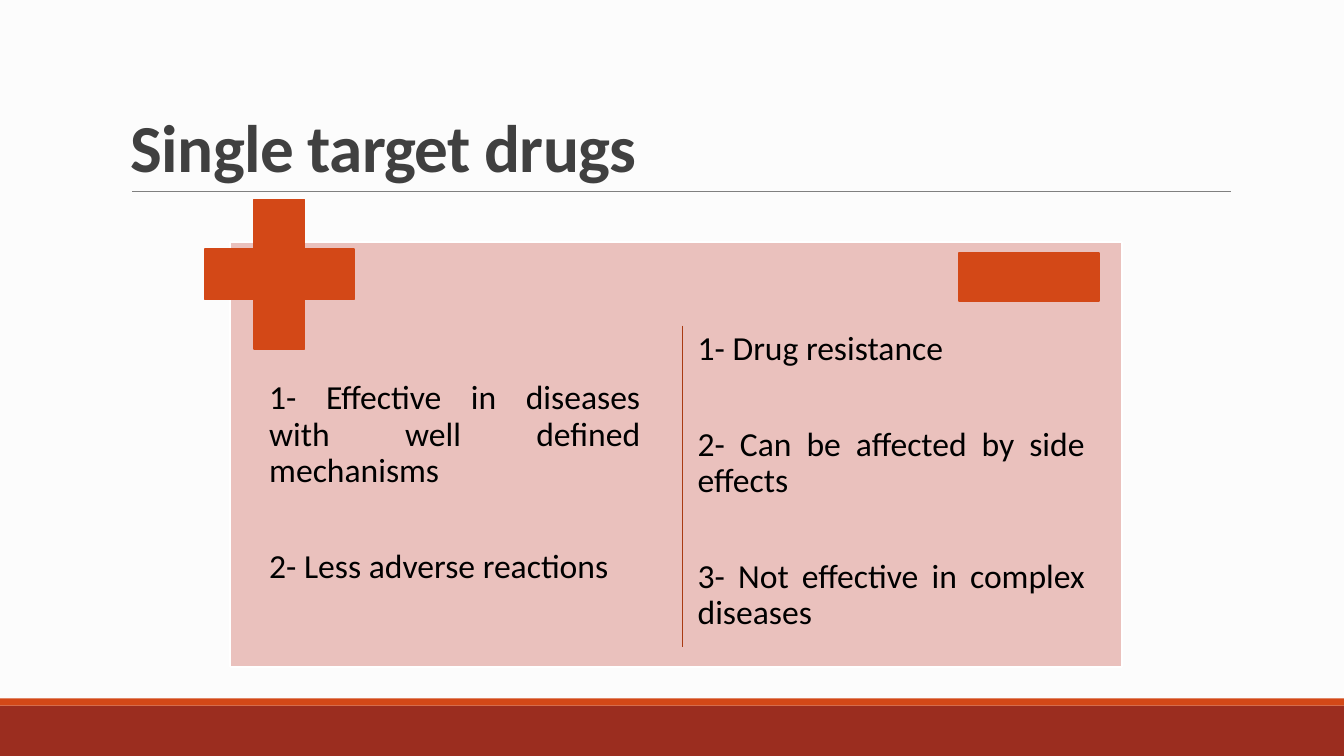
import pptx
import pptx.util
import pptx.dml.color
import pptx.enum.shapes
import pptx.enum.text
import pptx.oxml.ns
from lxml import etree

Inches, Pt = pptx.util.Inches, pptx.util.Pt
RGB = pptx.dml.color.RGBColor.from_string
SHAPE = pptx.enum.shapes.MSO_SHAPE
ALIGN = pptx.enum.text.PP_ALIGN
ANCHOR = pptx.enum.text.MSO_ANCHOR

theme = {
    "font": "Calibri", "title_size": 48, "body_size": 24,
    "background": "FCFCFC", "footer": "9B2D1F", "accent": "D34817",
    "panel": "EAC1BD", "panel_line": "FFFFFF", "divider": "A93A12",
    "rule": "808080", "title": "404040", "body": "000000",
}


def add_text(box, lines, inset, anchor, para_format, font_format, color):
    tf = s.shapes.add_textbox(*map(Inches, box)).text_frame
    frame_format = {"word_wrap": True, "vertical_anchor": anchor}
    for side in ("left", "top", "right", "bottom"):
        frame_format["margin_" + side] = Inches(inset[side in ("top", "bottom")])
    for name, value in frame_format.items():
        setattr(tf, name, value)
    for i, line in enumerate(lines):
        p = tf.add_paragraph() if i else tf.paragraphs[0]
        for name, value in para_format.items():
            setattr(p, name, value)
        r = p.add_run()
        r.text = line
        for name, value in font_format.items():
            setattr(r.font, name, value)
        r.font.color.rgb = RGB(theme[color])
    return tf


def add_line(start, end, color, width):
    ln = s.shapes.add_connector(pptx.enum.shapes.MSO_CONNECTOR.STRAIGHT,
                                *map(Inches, start + end))
    ln.line.color.rgb = RGB(theme[color])
    ln.line.width = Pt(width)
    etree.SubElement(ln._element.spPr, pptx.oxml.ns.qn("a:effectLst"))


prs = pptx.Presentation()
prs.slide_width, prs.slide_height = Inches(13.33), Inches(7.5)
s = prs.slides.add_slide(prs.slide_layouts[6])
s.background.fill.solid()
s.background.fill.fore_color.rgb = RGB(theme["background"])

shapes = [
    (SHAPE.RECTANGLE, (0, 7, 13.33, 0.5), "footer", None),
    (SHAPE.RECTANGLE, (0, 6.93, 13.33, 0.07), "accent", None),
    (SHAPE.RECTANGLE, (2.28, 2.4, 8.85, 4.22), "panel", "panel_line"),
    (SHAPE.CROSS, (2.03, 1.98, 1.48, 1.48), "accent", "accent"),
    (SHAPE.RECTANGLE, (9.51, 2.51, 1.39, 0.48), "accent", "accent"),
]
for kind, box, fill, line in shapes:
    sp = s.shapes.add_shape(kind, *map(Inches, box))
    sp.shadow.inherit = False
    sp.fill.solid()
    sp.fill.fore_color.rgb = RGB(theme[fill])
    if line:
        sp.line.color.rgb = RGB(theme[line])
        sp.line.width = Pt(1.25)
    else:
        sp.line.fill.background()
    if kind == SHAPE.CROSS:
        sp.adjustments[0] = 0.33

add_line((1.31, 1.9), (12.21, 1.9), "rule", 0.5)
add_line((6.77, 3.23), (6.77, 6.42), "divider", 1.25)

title_font = {"name": theme["font"], "size": Pt(theme["title_size"]), "bold": True}
tf = add_text((1.2, 0.31, 11, 1.59), ["Single target drugs"], (0.1, 0.05),
              ANCHOR.BOTTOM, {"line_spacing": 0.85}, title_font, "title")
tf.paragraphs[0].runs[0].font._element.set("spc", "-50")

columns = [
    ((2.62, 3.73, 3.78, 2.87), [
        "1- Effective in diseases with well defined mechanisms",
        "2- Less adverse reactions",
    ]),
    ((6.87, 3.24, 3.94, 2.87), [
        "1- Drug resistance",
        "2- Can be affected by side effects",
        "3- Not effective in complex diseases",
    ]),
]
body_para = {"alignment": ALIGN.JUSTIFY, "line_spacing": 0.9, "space_after": Pt(42.5)}
body_font = {"name": theme["font"], "size": Pt(theme["body_size"])}
for box, lines in columns:
    add_text(box, lines, (0.05, 0.05), ANCHOR.TOP, body_para, body_font, "body")

prs.save("out.pptx")
